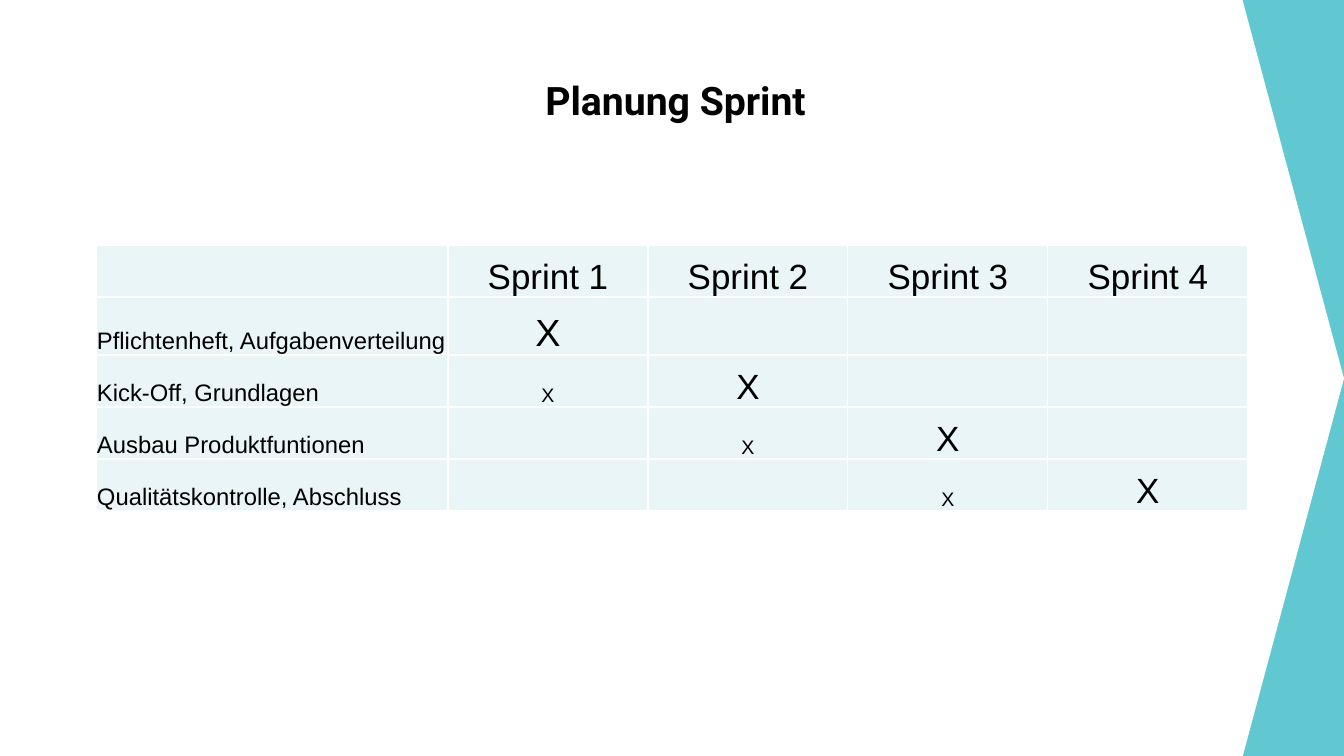
from lxml.etree import SubElement
from pptx import Presentation
from pptx.dml.color import RGBColor
from pptx.enum.shapes import MSO_SHAPE as Shape
from pptx.enum.text import MSO_ANCHOR as Anchor, MSO_AUTO_SIZE as AutoSize, PP_ALIGN as Align
from pptx.oxml.ns import qn
from pptx.util import Pt

PX = 914400 / 100.8
WHITE, BLACK, TEAL, PALE = "FFFFFF", "000000", "61C7D0", "EAF5F7"


def px(*lengths):
    return [round(length * PX) for length in lengths]


def write(frame, text, size, font="Arial", color=BLACK, bold=False, align=Align.CENTER):
    paragraph = frame.paragraphs[0]
    paragraph.alignment = align
    run = paragraph.add_run()
    run.text = text
    run.font.name = font
    run.font.size = Pt(size)
    run.font.bold = bold
    run.font.color.rgb = RGBColor.from_string(color)


presentation = Presentation()
presentation.slide_width, presentation.slide_height = px(1344, 756)
slide = presentation.slides.add_slide(presentation.slide_layouts[5])

# Teal background with a white pentagon in front
background = slide.background.fill
background.solid()
background.fore_color.rgb = RGBColor.from_string(TEAL)
pentagon = slide.shapes.add_shape(Shape.PENTAGON, *px(0, 0, 1344, 757))
pentagon.adjustments[0] = 0.134
pentagon.shadow.inherit = False
pentagon.fill.solid()
pentagon.fill.fore_color.rgb = RGBColor.from_string(WHITE)
pentagon.line.fill.background()
slide.shapes._spTree.insert(2, pentagon._element)

# Title
title = slide.shapes.title
title.left, title.top, title.width, title.height = px(105, 66, 1141, 85)
frame = title.text_frame
frame.auto_size = AutoSize.NONE
frame.word_wrap = True
frame.vertical_anchor = Anchor.TOP
frame.margin_left = frame.margin_right = frame.margin_top = frame.margin_bottom = px(10)[0]
write(frame, "Planung Sprint", 28, font="Roboto", bold=True)

# Sprint table: text and size of each filled cell
tasks = ["Pflichtenheft, Aufgabenverteilung", "Kick-Off, Grundlagen",
         "Ausbau Produktfuntionen", "Qualitätskontrolle, Abschluss"]
entries = {}
for number, task in enumerate(tasks, start=1):
    entries[0, number] = (f"Sprint {number}", 25)
    entries[number, 0] = (task, 17)
    entries[number, number] = ("X", 27 if number == 1 else 25)
    if number > 1:
        entries[number, number - 1] = ("X", 14)

widths = px(352, 200, 200, 200, 200)
heights = px(52, 58, 52, 52, 52)
table = slide.shapes.add_table(len(heights), len(widths), *px(96, 245),
                               sum(widths), sum(heights)).table
table.first_row = table.horz_banding = False
for column, width in zip(table.columns, widths):
    column.width = width
for row, height in zip(table.rows, heights):
    row.height = height

for row in range(len(heights)):
    for column in range(len(widths)):
        cell = table.cell(row, column)

        # White borders, then the fill
        properties = cell._tc.get_or_add_tcPr()
        for side in ("a:lnL", "a:lnR", "a:lnT", "a:lnB"):
            border = SubElement(properties, qn(side), w=str(Pt(1)))
            SubElement(SubElement(border, qn("a:solidFill")), qn("a:srgbClr"), val=WHITE)
        cell.fill.solid()
        cell.fill.fore_color.rgb = RGBColor.from_string(PALE)

        # Text at the bottom of the cell
        if (row, column) in entries:
            cell.vertical_anchor = Anchor.BOTTOM
            cell.margin_left = cell.margin_right = cell.margin_top = px(1)[0]
            cell.margin_bottom = 0
            text, size = entries[row, column]
            write(cell.text_frame, text, size, align=Align.CENTER if column else Align.LEFT)

presentation.save("out.pptx")
